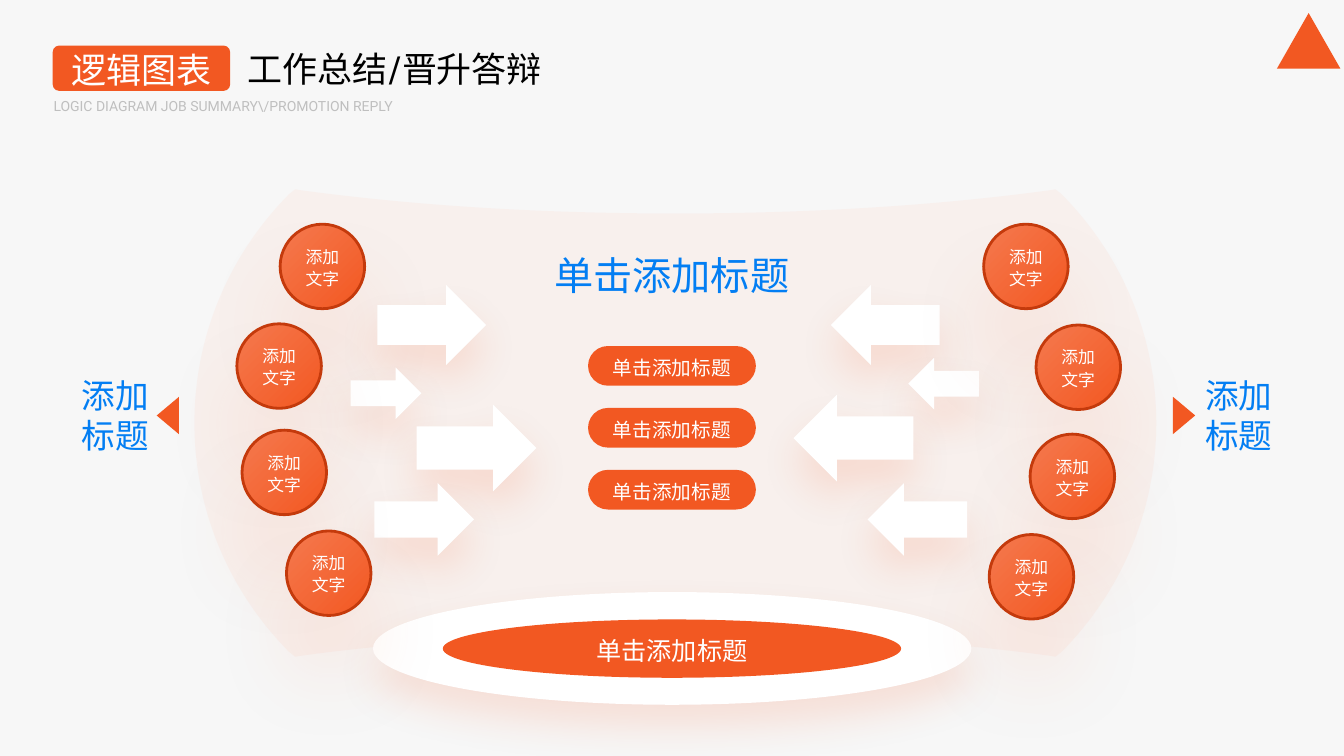
from lxml import etree
from pptx import Presentation
from pptx.dml.color import RGBColor
from pptx.enum.shapes import MSO_SHAPE
from pptx.enum.text import MSO_ANCHOR, PP_ALIGN
from pptx.oxml.ns import qn
from pptx.util import Cm, Pt

RECT, OVAL, TRIANGLE = MSO_SHAPE.ROUNDED_RECTANGLE, MSO_SHAPE.OVAL, MSO_SHAPE.ISOSCELES_TRIANGLE
RIGHT_ARROW, LEFT_ARROW = MSO_SHAPE.RIGHT_ARROW, MSO_SHAPE.LEFT_ARROW
LEFT, CENTER = PP_ALIGN.LEFT, PP_ALIGN.CENTER
TOP, MIDDLE = MSO_ANCHOR.TOP, MSO_ANCHOR.MIDDLE

ORANGE, RIM, WHITE, BLUE = "F25822", "C43A0C", "FFFFFF", "037EF3"
BADGE = "逻辑图表"
TITLE = "工作总结/晋升答辩"
SUBTITLE = "LOGIC DIAGRAM JOB SUMMARY\\/PROMOTION REPLY"
HEADING = "单击添加标题"
PILLS = ["单击添加标题"] * 3
BASE = "单击添加标题"
SIDE_TITLE = ["添加", "标题"]
CIRCLE_TEXT = ["添加", "文字"]

# All lengths below are in centimetres
CIRCLE_SIZE = 2.13
LEFT_CIRCLES = [(7.06, 5.65), (5.97, 8.16), (6.1, 10.84), (7.22, 13.38)]
RIGHT_CIRCLES = [(24.79, 5.65), (26.11, 8.19), (25.96, 10.94), (24.93, 13.47)]
ARROW_SIZES = [(2.74, 2.01), (1.78, 1.3), (3.02, 2.18), (2.51, 1.83)]
RIGHTWARD = [(10.88, 8.19), (9.73, 9.91), (12.01, 11.29), (10.69, 13.09)]
LEFTWARD = [(22.31, 8.19), (23.78, 9.67), (21.51, 11.04), (23.12, 13.09)]
# Side title left, pointer centre, pointer rotation
SIDES = [(1.78, 4.23, 270), (30.1, 29.84, 90)]
PANEL_CENTRE = (17.02, 10.66)
# A quarter of the panel outline, as offsets from its centre: curve, tip, curve
PANEL_QUARTER = [(0, 5.28), (3.48, 5.28), (6.68, 5.49), (9.47, 5.87),
                 (9.58, 5.89),
                 (9.73, 5.77), (11.2, 4.29), (12.12, 2.26), (12.12, 0)]
# Points used by each segment of a quarter: 3 for a curve, 1 for a line
QUARTER_SEGMENTS = [3, 1, 1, 3]


def rgb(color):
    return RGBColor.from_string(color)


def write(shape, lines, size, color, align=CENTER, anchor=MIDDLE, margins=(0, 0, 0),
          font="Karla", spacing=None, wrap=True):
    """Fill a shape with text; margins are side, top and bottom."""
    tf = shape.text_frame
    tf.word_wrap = wrap
    tf.vertical_anchor = anchor
    tf.margin_left = tf.margin_right = Cm(margins[0])
    tf.margin_top, tf.margin_bottom = Cm(margins[1]), Cm(margins[2])
    tf.text = "\n".join(lines)
    for p in tf.paragraphs:
        p.alignment = align
        p.line_spacing = spacing
        p.font.size = Pt(size)
        p.font.name = font
        p.font.color.rgb = rgb(color)


def add_box(s, x, y, w, h, lines, size, color, **options):
    tb = s.shapes.add_textbox(Cm(x), Cm(y), Cm(w), Cm(h))
    write(tb, lines, size, color, anchor=TOP, **options)


def paint(shape, color):
    shape.shadow.inherit = False
    shape.fill.solid()
    shape.fill.fore_color.rgb = rgb(color)
    shape.line.fill.background()


def add_shape(s, kind, x, y, w, h, color):
    sp = s.shapes.add_shape(kind, Cm(x), Cm(y), Cm(w), Cm(h))
    paint(sp, color)
    return sp


def set_alpha(color_element, percent):
    etree.SubElement(color_element, qn("a:alpha"), val=str(percent * 1000))


def cast_shadow(shape, alpha, blur, distance):
    """Add a soft orange shadow that falls straight down."""
    effects = shape._element.spPr.find(qn("a:effectLst"))
    outer = etree.SubElement(effects, qn("a:outerShdw"), blurRad=str(Pt(blur)),
                             dist=str(Pt(distance)), dir="5400000", algn="t", rotWithShape="0")
    set_alpha(etree.SubElement(outer, qn("a:srgbClr"), val=ORANGE), alpha)


def bend(shape, segments):
    """Join each run of three line segments into one cubic curve."""
    lines = iter(list(shape._element.iter(qn("a:lnTo"))))
    for count in segments:
        run = [next(lines) for _ in range(count)]
        if count == 3:
            run[0].tag = qn("a:cubicBezTo")
            for line in run[1:]:
                run[0].append(line[0])
                line.getparent().remove(line)


def add_panel(s):
    cx, cy = PANEL_CENTRE
    outline = [(Cm(cx), Cm(cy - PANEL_QUARTER[0][1]))]
    for sx, sy, step in [(1, -1, 1), (1, 1, -1), (-1, 1, 1), (-1, -1, -1)]:
        outline += [(Cm(cx + sx * x), Cm(cy + sy * y)) for x, y in PANEL_QUARTER[::step][1:]]
    builder = s.shapes.build_freeform(*outline[0])
    builder.add_line_segments(outline[1:], close=True)
    panel = builder.convert_to_shape()
    bend(panel, QUARTER_SEGMENTS * 4)
    paint(panel, "FCDED3")
    set_alpha(panel._element.spPr.find(qn("a:solidFill"))[0], 25)


def add_header(s):
    title = s.shapes.title
    title.left, title.top, title.width, title.height = Cm(5.98), Cm(1.06), Cm(8.41), Cm(1.32)
    write(title, [TITLE], 25, "000000", align=LEFT, anchor=TOP, margins=(0.25, 0.13, 0.13))
    badge = add_shape(s, RECT, 1.33, 1.15, 4.47, 1.14, ORANGE)
    badge.adjustments[0] = 0.14
    write(badge, [BADGE], 25, WHITE, margins=(0, 0.06, 0))
    add_box(s, 1.35, 2.46, 12.29, 0.43, [SUBTITLE], 10, "BFBFBF", align=LEFT, font="Roboto")


def add_circles(s, corners):
    for x, y in corners:
        circle = add_shape(s, OVAL, x, y, CIRCLE_SIZE, CIRCLE_SIZE, ORANGE)
        circle.fill.gradient()
        circle.fill.gradient_angle = 315
        for stop, color in zip(circle.fill.gradient_stops, ("F5794E", ORANGE)):
            stop.color.rgb = rgb(color)
        circle.line.color.rgb = rgb(RIM)
        circle.line.width = Pt(2)
        cast_shadow(circle, 10, 60, 41)
        write(circle, CIRCLE_TEXT, 12, WHITE, spacing=1.1)


def add_arrows(s, kind, centres):
    for (cx, cy), (w, h) in zip(centres, ARROW_SIZES):
        arrow = add_shape(s, kind, cx - w / 2, cy - h / 2, w, h, WHITE)
        cast_shadow(arrow, 15, 29, 16)


def main():
    prs = Presentation()
    prs.slide_width, prs.slide_height = Cm(33.87), Cm(19.05)
    s = prs.slides.add_slide(prs.slide_layouts[5])
    s.background.fill.solid()
    s.background.fill.fore_color.rgb = rgb("F7F7F7")

    add_shape(s, TRIANGLE, 32.18, 0.33, 1.6, 1.4, ORANGE)
    add_header(s)
    add_panel(s)
    add_box(s, 13.13, 6.2, 7.6, 1.45, [HEADING], 28, BLUE, margins=(0.25, 0.13, 0.13))

    for x, pointer_x, rotation in SIDES:
        add_box(s, x, 9.32, 2.24, 2.31, SIDE_TITLE, 24, BLUE,
                margins=(0.25, 0.13, 0.13), wrap=False)
        pointer = add_shape(s, TRIANGLE, pointer_x - 0.47, 10.19, 0.94, 0.56, ORANGE)
        pointer.rotation = rotation

    plate = add_shape(s, OVAL, 9.4, 14.92, 15.08, 2.84, WHITE)
    cast_shadow(plate, 15, 29, 16)
    base = add_shape(s, OVAL, 11.16, 15.61, 11.55, 1.47, ORANGE)
    write(base, [BASE], 18, WHITE, margins=(0, 0.08, 0))

    for i, text in enumerate(PILLS):
        pill = add_shape(s, RECT, 14.82, 8.72 + 1.56 * i, 4.23, 1, ORANGE)
        pill.adjustments[0] = 0.5
        write(pill, [text], 14, WHITE, margins=(0, 0.08, 0))

    add_circles(s, LEFT_CIRCLES[:1])
    add_arrows(s, RIGHT_ARROW, RIGHTWARD)
    add_circles(s, LEFT_CIRCLES[1:])
    add_arrows(s, LEFT_ARROW, LEFTWARD)
    add_circles(s, RIGHT_CIRCLES)

    prs.save("out.pptx")


if __name__ == "__main__":
    main()
